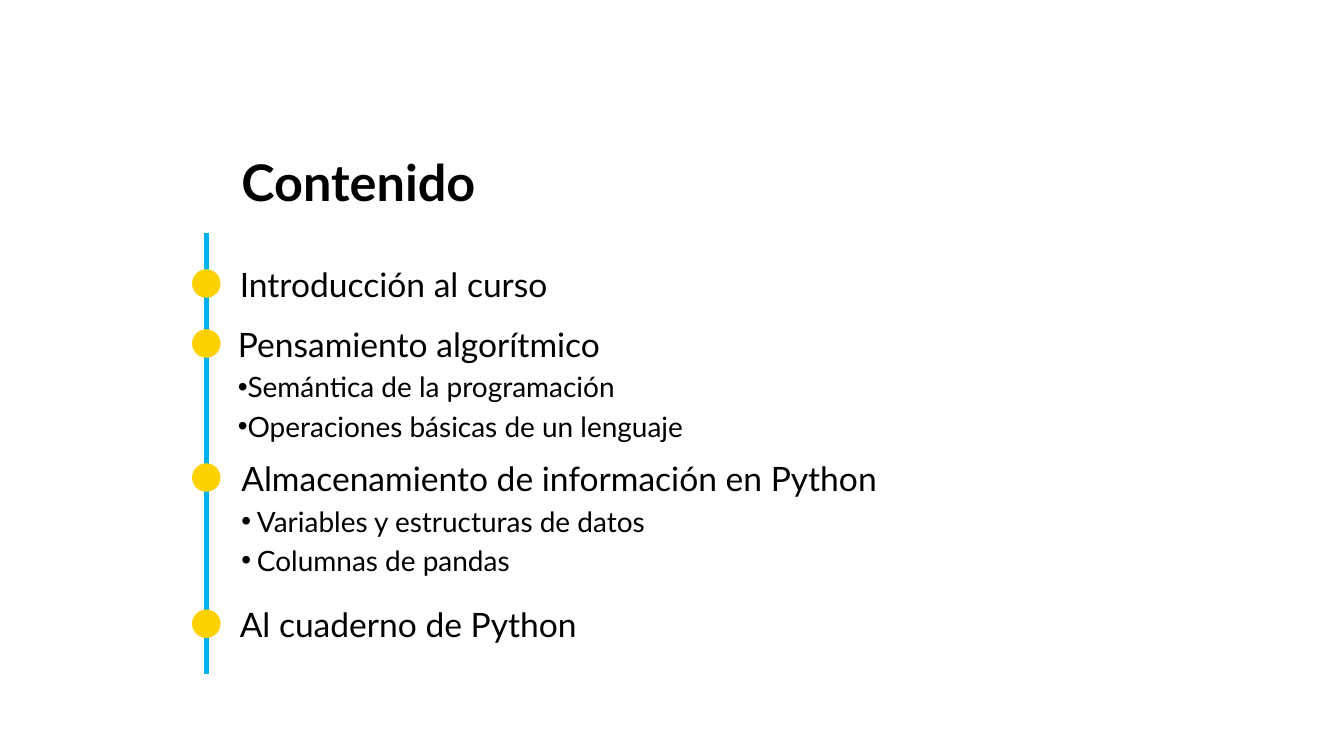
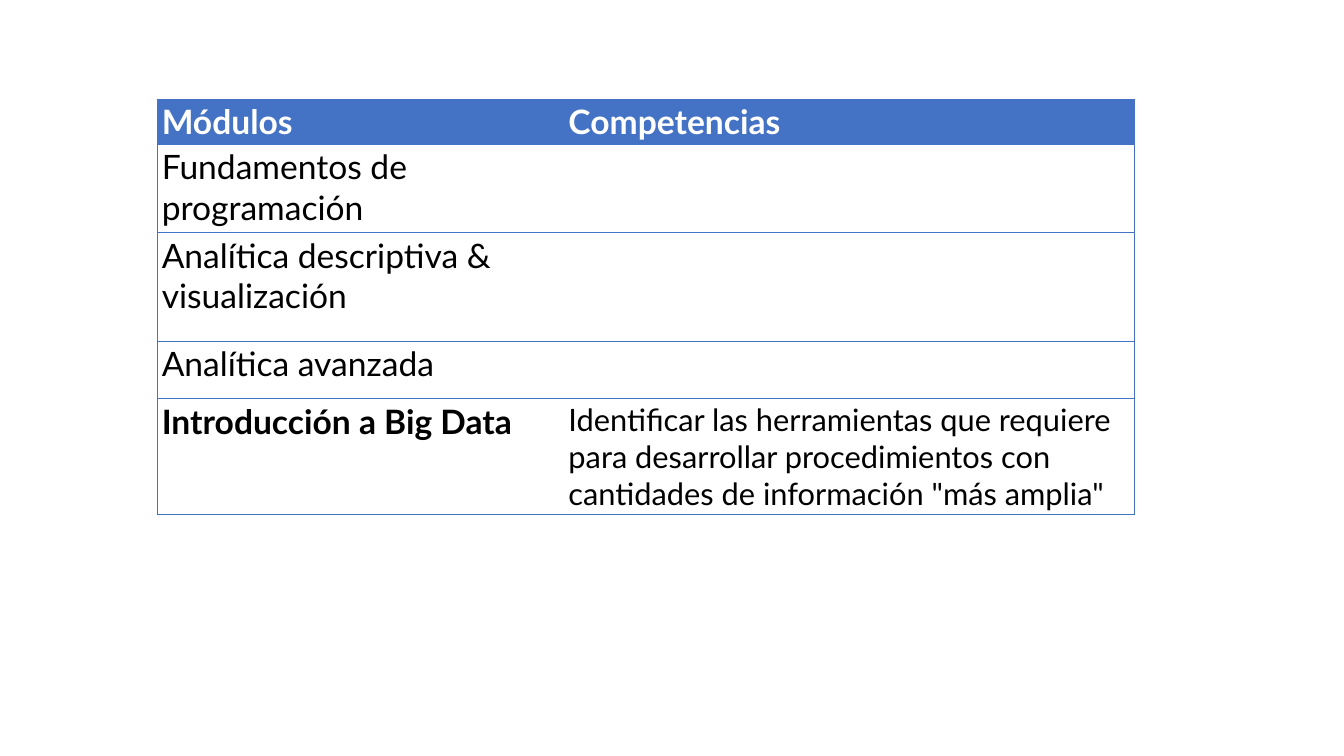
from pptx import Presentation, util as u
from pptx.dml.color import RGBColor
from pptx.enum import shapes, text
from pptx.oxml.ns import qn
from lxml import etree

COLS, ROWS = 80, 45
CELL = u.Inches(1) / 3
FONT = "Lato"
HUES = {"ink": "000000", "paper": "FFFFFF", "rail": "00B0F0", "dot": "FED200", "grid": "4472C4"}
DOT = 1.65
RAIL = 12.28
HEAD, MAIN, SUB, CELLS = 72, 48, 40, 44

TOPICS = [
    ("Introducción al curso", [], 0, (13.98, 15.57, 37.05, 2.73)),
    ("Pensamiento algorítmico",
     ["Semántica de la programación", "Operaciones básicas de un lenguaje"],
     0, (13.86, 19.14, 36.96, 9.99)),
    ("Almacenamiento de información en Python",
     ["Variables y estructuras de datos", "Columnas de pandas"],
     0.31, (14.07, 27.12, 42.84, 7.83)),
    ("Al cuaderno de Python", [], 0, (13.98, 35.82, 29.19, 2.73)),
]
MODULES = [
    ("Módulos", "Competencias"),
    ("Fundamentos de programación", ""),
    ("Analítica descriptiva & visualización", ""),
    ("Analítica avanzada", ""),
    ("Introducción a Big Data",
     "Identificar las herramientas que requiere para desarrollar procedimientos "
     "con cantidades de información \"más amplia\""),
]
WIDTHS = [24.21, 33.96]
HEIGHTS = [2.7, 5.25, 6.48, 3.42, 6.9]


def size(cells):
    return u.Emu(round(cells * CELL))


def place(*cells):
    return [size(c) for c in cells]


def hue(name):
    return RGBColor.from_string(HUES[name])


def write(para, words, points=MAIN, color="ink", bold=False, before=None, lead=None, indent=None):
    if indent is not None:
        props = para._p.get_or_add_pPr()
        props.set("marL", str(u.Inches(indent)))
        props.set("indent", str(u.Inches(-0.31)))
        etree.SubElement(props, qn("a:buFont"), typeface="Arial")
        etree.SubElement(props, qn("a:buChar"), char="•")
    if before is not None:
        para.space_before = u.Pt(before)
    if lead:
        para.line_spacing = lead
    run = para.add_run()
    run.text = words
    font = run.font
    font.name, font.size, font.bold = FONT, u.Pt(points), bold
    font.color.rgb = hue(color)


def add_box(slide, area, anchor=text.MSO_ANCHOR.TOP):
    frame = slide.shapes.add_textbox(*place(*area)).text_frame
    frame.word_wrap = True
    frame.vertical_anchor = anchor
    return frame


def add_rail(slide, top, end):
    line = slide.shapes.add_connector(
        shapes.MSO_CONNECTOR.STRAIGHT, *place(RAIL, top, RAIL, end))
    line.line.color.rgb = hue("rail")
    line.line.width = u.Pt(6.5)
    etree.SubElement(line._element.spPr, qn("a:effectLst"))


def add_dot(slide, top):
    dot = slide.shapes.add_shape(
        shapes.MSO_SHAPE.OVAL, *place(RAIL - DOT / 2, top, DOT, DOT))
    dot.shadow.inherit = False
    dot.fill.solid()
    dot.fill.fore_color.rgb = hue("dot")
    dot.line.color.rgb = hue("dot")
    dot.line.width = u.Pt(1)


def add_topic(slide, name, points, indent, area):
    add_dot(slide, area[1] + 0.48)
    frame = add_box(slide, area)
    write(frame.paragraphs[0], name)
    for point in points:
        write(frame.add_paragraph(), point, points=SUB, before=SUB * 0.2, indent=indent)


def add_edge(cell, side, shown):
    edge = etree.SubElement(cell._tc.get_or_add_tcPr(), qn("a:ln" + side), w=str(u.Pt(0.5)))
    if shown:
        fill = etree.SubElement(edge, qn("a:solidFill"))
        etree.SubElement(fill, qn("a:srgbClr"), val=HUES["grid"])
    else:
        etree.SubElement(edge, qn("a:noFill"))


def style_cell(cell, header, first, last):
    for side, shown in (("L", first), ("R", last), ("T", True), ("B", True)):
        add_edge(cell, side, shown)
    if header:
        cell.fill.solid()
        cell.fill.fore_color.rgb = hue("grid")
    else:
        cell.fill.background()


def add_grid(slide, left, top, rows):
    area = place(left, top, sum(WIDTHS), sum(HEIGHTS))
    table = slide.shapes.add_table(len(rows), len(WIDTHS), *area).table
    table.first_row = table.horz_banding = False
    for col, width in zip(table.columns, WIDTHS):
        col.width = size(width)
    final = len(rows) - 1
    for r, row in enumerate(rows):
        table.rows[r].height = size(HEIGHTS[r])
        for c, words in enumerate(row):
            cell = table.cell(r, c)
            style_cell(cell, r == 0, c == 0, c == len(row) - 1)
            if words:
                write(cell.text_frame.paragraphs[0], words,
                      points=CELLS if r and c else MAIN,
                      color="ink" if r else "paper",
                      bold=r == 0 or (r == final and c == 0))


def add_slide(deck):
    slide = deck.slides.add_slide(deck.slide_layouts[6])
    slide.background.fill.solid()
    slide.background.fill.fore_color.rgb = hue("paper")
    return slide


def main():
    deck = Presentation()
    deck.slide_width, deck.slide_height = place(COLS, ROWS)

    agenda = add_slide(deck)
    title = add_box(agenda, (14.07, 9.36, 30.81, 3.36), text.MSO_ANCHOR.MIDDLE)
    write(title.paragraphs[0], "Contenido", points=HEAD, bold=True, before=0, lead=0.9)
    add_rail(agenda, 13.86, 40.11)
    for topic in TOPICS:
        add_topic(agenda, *topic)

    add_grid(add_slide(deck), 9.33, 5.88, MODULES)
    deck.save("out.pptx")


if __name__ == "__main__":
    main()
